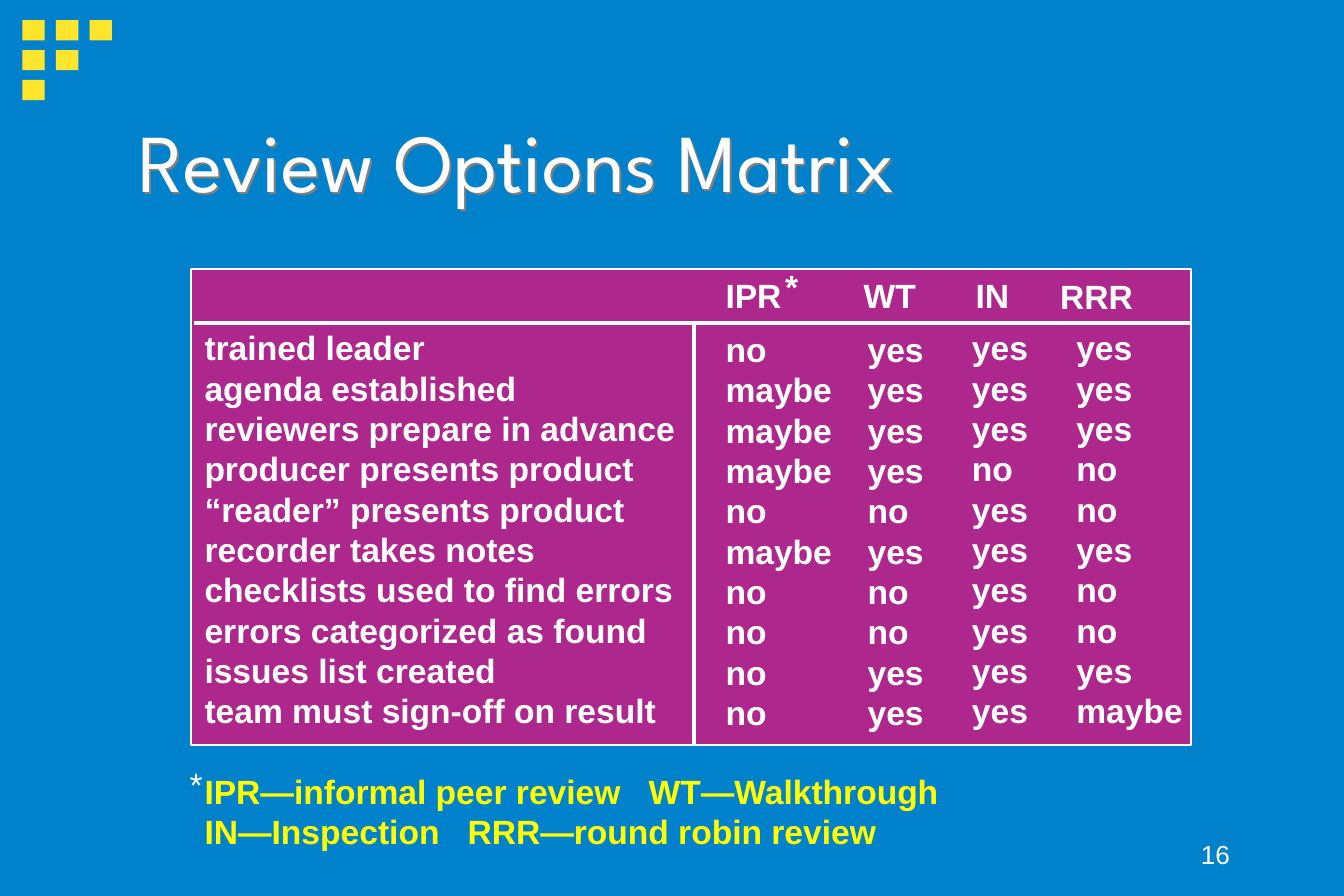
from dataclasses import dataclass

from lxml.etree import SubElement
from pptx import Presentation
from pptx.dml.color import RGBColor as RGB
from pptx.enum.shapes import MSO_CONNECTOR as CONN, MSO_SHAPE as SHAPE
from pptx.enum.text import MSO_ANCHOR as ANCHOR, PP_ALIGN as ALIGN
from pptx.oxml import parse_xml
from pptx.oxml.ns import nsdecls, qn
from pptx.util import Pt


@dataclass(frozen=True)
class Theme:
    back: str = "0081CB"
    panel: str = "AD278D"
    square: str = "FFE62D"
    text: str = "FFFFFF"
    legend: str = "FFFF00"
    shadow: str = "808080"
    body_font: str = "Arial"
    title_font: str = "League Spartan"
    title_size: float = 44
    body_size: float = 18
    number_size: float = 14
    body_line: float = 21.6


def write(tf, text, font, size, color, bold=False, line=None, before=0,
          tab=None, align=ALIGN.LEFT):
    p = tf.add_paragraph() if tf.text else tf.paragraphs[0]
    p.alignment = align
    if line:
        p.line_spacing = Pt(line)
    if before:
        p.space_before = Pt(before)
    if tab:
        tabs = SubElement(p._p.get_or_add_pPr(), qn("a:tabLst"))
        SubElement(tabs, qn("a:tab"), pos=str(Pt(tab)), algn="l")
    r = p.add_run()
    r.text = text
    r.font.size, r.font.bold, r.font.name = Pt(size), bold, font
    r.font.color.rgb = RGB.from_string(color)


class Deck:
    """Draws styled elements on the current slide."""

    def __init__(self, theme, width, height):
        self.theme = theme
        self.prs = Presentation()
        self.prs.slide_width, self.prs.slide_height = Pt(width), Pt(height)

    def slide(self):
        self.s = self.prs.slides.add_slide(self.prs.slide_layouts[6])
        fill = self.s.background.fill
        fill.solid()
        fill.fore_color.rgb = RGB.from_string(self.theme.back)

    def rect(self, x, y, w, h, fill, line=None):
        sp = self.s.shapes.add_shape(SHAPE.RECTANGLE, Pt(x), Pt(y), Pt(w), Pt(h))
        sp.shadow.inherit = False
        sp.fill.solid()
        sp.fill.fore_color.rgb = RGB.from_string(fill)
        if line:
            sp.line.color.rgb = RGB.from_string(line)
            sp.line.width = Pt(1)
        else:
            sp.line.fill.background()

    def line(self, x1, y1, x2, y2):
        c = self.s.shapes.add_connector(CONN.STRAIGHT, Pt(x1), Pt(y1), Pt(x2), Pt(y2))
        c.line.color.rgb = RGB.from_string(self.theme.text)
        c.line.width = Pt(2)
        SubElement(c._element.spPr, qn("a:effectLst"))

    def box(self, x, y, w, h, wrap=True, anchor=ANCHOR.TOP, shadow=None):
        sp = self.s.shapes.add_textbox(Pt(x), Pt(y), Pt(w), Pt(h))
        if shadow:
            sp._element.spPr.append(parse_xml(
                f'<a:effectLst {nsdecls("a")}><a:outerShdw dist="{Pt(1.5)}" dir="2700000">'
                f'<a:srgbClr val="{shadow}"/></a:outerShdw></a:effectLst>'))
        tf = sp.text_frame
        tf.word_wrap = wrap
        tf.vertical_anchor = anchor
        return tf

    def body(self, tf, lines, **fmt):
        t = self.theme
        style = dict(font=t.body_font, size=t.body_size, color=t.text,
                     bold=True, line=t.body_line) | fmt
        for text in lines:
            write(tf, text, **style)

    def column(self, x, y, w, lines, **fmt):
        height = len(lines) * self.theme.body_line + 7.2
        self.body(self.box(x, y, w, height, wrap=False), lines, **fmt)


CRITERIA = [
    "trained leader", "agenda established", "reviewers prepare in advance",
    "producer presents product", "“reader” presents product",
    "recorder takes notes", "checklists used to find errors",
    "errors categorized as found", "issues list created",
    "team must sign-off on result",
]
HEADERS = [("IPR", 381.6, 143.4, 44.6), ("WT", 455.6, 143.4, 42.5),
           ("IN", 515.6, 143.4, 32.4), ("RRR", 560.9, 144.3, 53.3)]
ANSWERS = [
    (381.6, 172.6, 71.3, "no maybe maybe maybe no maybe no no no no"),
    (457.7, 172.6, 44.6, "yes yes yes yes no yes no no yes yes"),
    (513.6, 171.6, 44.6, "yes yes yes no yes yes yes yes yes yes"),
    (569.5, 171.6, 71.3, "yes yes yes no no yes no no yes maybe"),
]
LEGEND = [("IPR—informal peer review\tWT—Walkthrough", 237.9, Theme.body_line),
          ("IN—Inspection\tRRR—round robin review", 140.9, 0)]


def main():
    t = Theme()
    deck = Deck(t, 720, 479.75)
    deck.slide()
    for row in range(3):
        for col in range(3 - row):
            deck.rect(12 + 18 * col, 10.8 + 16 * row, 12, 10.8, t.square)

    write(deck.box(516.2, 437.4, 149.8, 31.7, anchor=ANCHOR.BOTTOM), "16",
          t.body_font, t.number_size, t.text, align=ALIGN.RIGHT)
    deck.rect(102.4, 144, 535.7, 255, t.panel, t.text)
    title = deck.box(67, 54.7, 563.8, 61.9, anchor=ANCHOR.MIDDLE, shadow=t.shadow)
    write(title, "Review Options Matrix", t.title_font, t.title_size, t.text)

    criteria = deck.box(102.5, 171.6, 412, 288)
    deck.body(criteria, CRITERIA)
    for text, tab, before in LEGEND:
        deck.body(criteria, [text], color=t.legend, tab=tab, before=before)

    for name, x, y, w in HEADERS:
        deck.column(x, y, w, [name])
    for x, y, w, answers in ANSWERS:
        deck.column(x, y, w, answers.split())
    deck.column(413.5, 139, 21.6, ["*"])
    deck.column(94.5, 405.6, 21.6, ["*"], bold=False)

    deck.line(103.7, 172.8, 638.6, 172.8)
    deck.line(371.7, 172.8, 371.7, 398.2)
    deck.prs.save("out.pptx")


if __name__ == "__main__":
    main()
